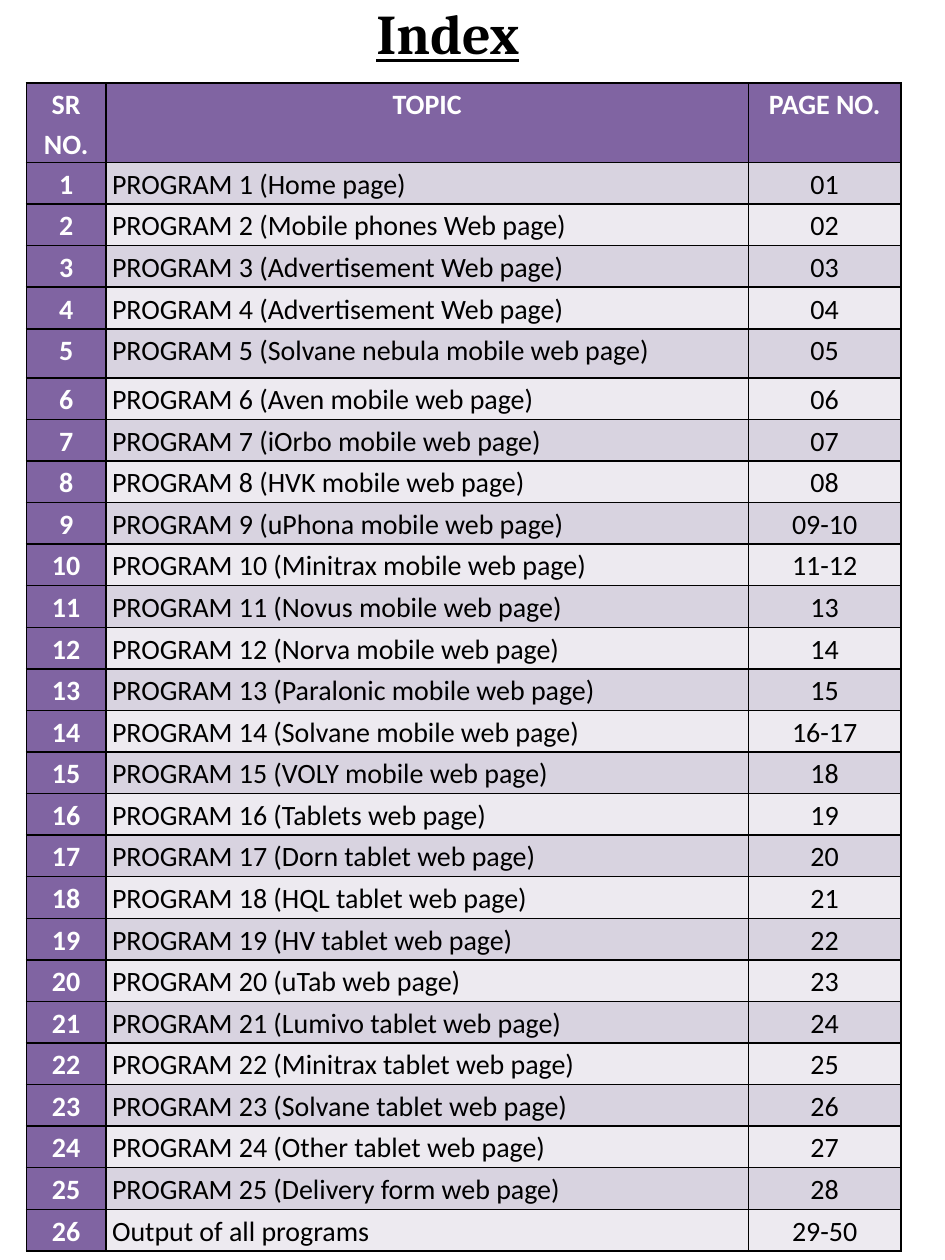
from lxml.etree import SubElement
from pptx import Presentation
from pptx.dml.color import RGBColor
from pptx.enum.text import MSO_ANCHOR as Anchor, PP_ALIGN as Align
from pptx.oxml.ns import qn
from pptx.util import Inches, Pt

# Content
TITLE = "Index"
HEADINGS = ("SR NO.", "TOPIC", "PAGE NO.")
PROGRAMS = [
    ("Home page", "01"),
    ("Mobile phones Web page", "02"),
    ("Advertisement Web page", "03"),
    ("Advertisement Web page", "04"),
    ("Solvane nebula mobile web page", "05"),
    ("Aven mobile web page", "06"),
    ("iOrbo mobile web page", "07"),
    ("HVK mobile web page", "08"),
    ("uPhona mobile web page", "09-10"),
    ("Minitrax mobile web page", "11-12"),
    ("Novus mobile web page", "13"),
    ("Norva mobile web page", "14"),
    ("Paralonic mobile web page", "15"),
    ("Solvane mobile web page", "16-17"),
    ("VOLY mobile web page", "18"),
    ("Tablets web page", "19"),
    ("Dorn tablet web page", "20"),
    ("HQL tablet web page", "21"),
    ("HV tablet web page", "22"),
    ("uTab web page", "23"),
    ("Lumivo tablet web page", "24"),
    ("Minitrax tablet web page", "25"),
    ("Solvane tablet web page", "26"),
    ("Other tablet web page", "27"),
    ("Delivery form web page", "28"),
]
LAST_ENTRY = ("Output of all programs", "29-50")

COLORS = {"purple": "8064A2", "odd": "D8D3E0", "even": "EDEAF0",
          "white": "FFFFFF", "black": "000000"}
COLUMN_WIDTHS = (0.63, 5.1, 1.21)
ROW_HEIGHT = 0.33
SPECIAL_HEIGHTS = {0: 0.63, 5: 0.39}


def color(name):
    return RGBColor.from_string(COLORS[name])


def add_borders(cell):
    properties = cell._tc.get_or_add_tcPr()
    for side in ("a:lnL", "a:lnR", "a:lnT", "a:lnB"):
        line = SubElement(properties, qn(side), w=str(Pt(1)))
        fill = SubElement(line, qn("a:solidFill"))
        SubElement(fill, qn("a:srgbClr"), val=COLORS["black"])


def fill_cell(cell, text, row, column):
    emphasized = row == 0 or column == 0
    add_borders(cell)
    cell.fill.solid()
    band = "odd" if row % 2 else "even"
    cell.fill.fore_color.rgb = color("purple" if emphasized else band)
    cell.margin_left = cell.margin_right = Inches(0.05)
    cell.margin_top = cell.margin_bottom = 0
    para = cell.text_frame.paragraphs[0]
    para.text = text
    para.alignment = Align.LEFT if row and column == 1 else Align.CENTER
    para.line_spacing = 1.15
    para.font.name = "Calibri"
    para.font.size = Pt(16)
    para.font.bold = emphasized
    para.font.color.rgb = color("white" if emphasized else "black")


# Page
deck = Presentation()
deck.slide_width, deck.slide_height = Inches(7.5), Inches(10)
page = deck.slides.add_slide(deck.slide_layouts[6])

# Index table
entries = [(f"PROGRAM {number} ({topic})", pages)
           for number, (topic, pages) in enumerate(PROGRAMS, 1)] + [LAST_ENTRY]
rows = [HEADINGS] + [(str(number), *entry)
                     for number, entry in enumerate(entries, 1)]
heights = [SPECIAL_HEIGHTS.get(row, ROW_HEIGHT) for row in range(len(rows))]
table = page.shapes.add_table(
    len(rows), len(HEADINGS), Inches(0.21), Inches(0.66),
    Inches(sum(COLUMN_WIDTHS)), Inches(sum(heights))).table
for column, width in zip(table.columns, COLUMN_WIDTHS):
    column.width = Inches(width)
for row, values in enumerate(rows):
    table.rows[row].height = Inches(heights[row])
    for column, text in enumerate(values):
        fill_cell(table.cell(row, column), text, row, column)

# Title
box = page.shapes.add_textbox(Inches(2.87), Inches(-0.06), Inches(1.37), Inches(0.98))
box.text_frame.word_wrap = False
box.text_frame.vertical_anchor = Anchor.TOP
para = box.text_frame.paragraphs[0]
para.text = TITLE
para.alignment = Align.CENTER
para.font.name = "Cambria"
para.font.size = Pt(32)
para.font.bold = True
para.font.underline = True
para.font.color.rgb = color("black")

deck.save("out.pptx")
